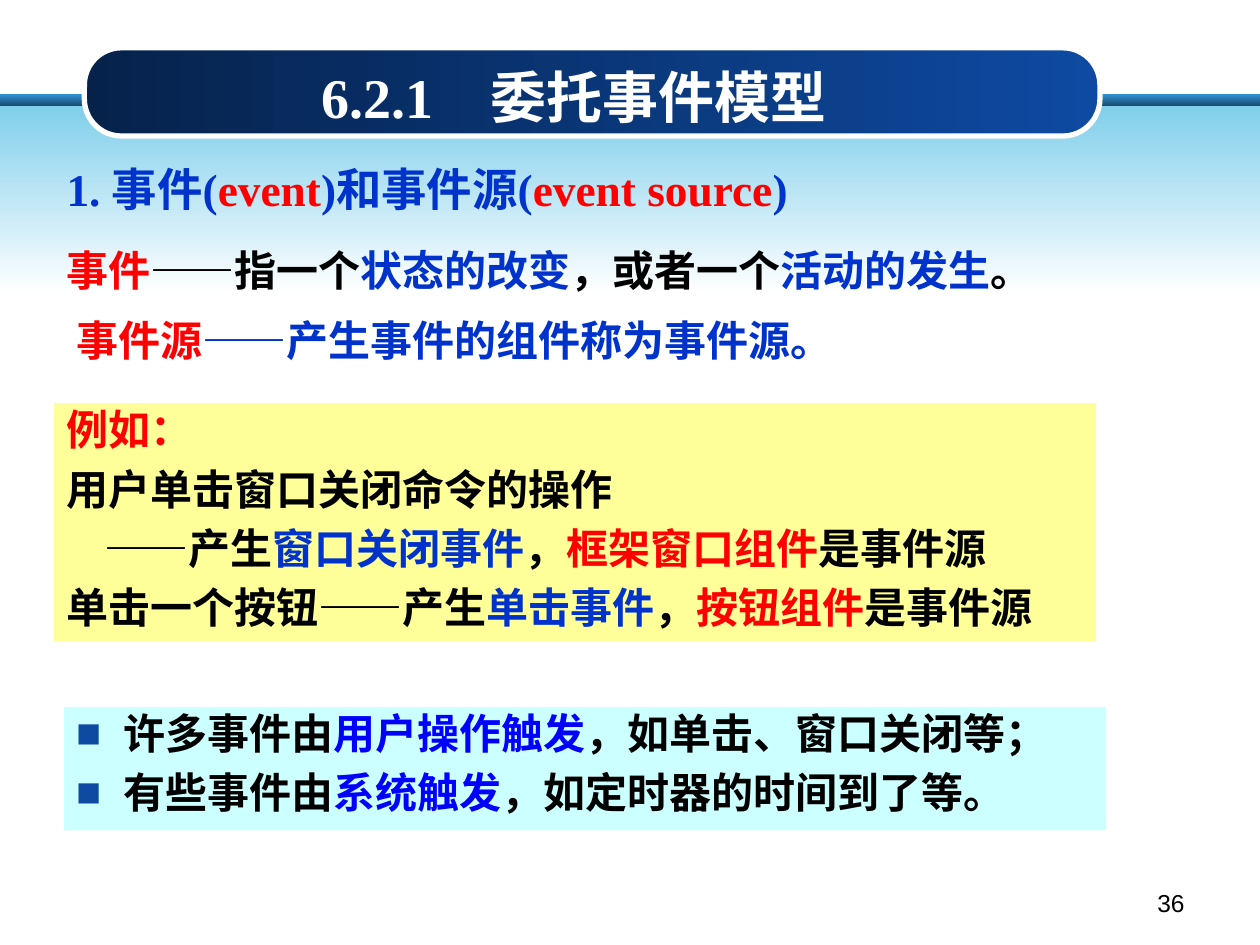
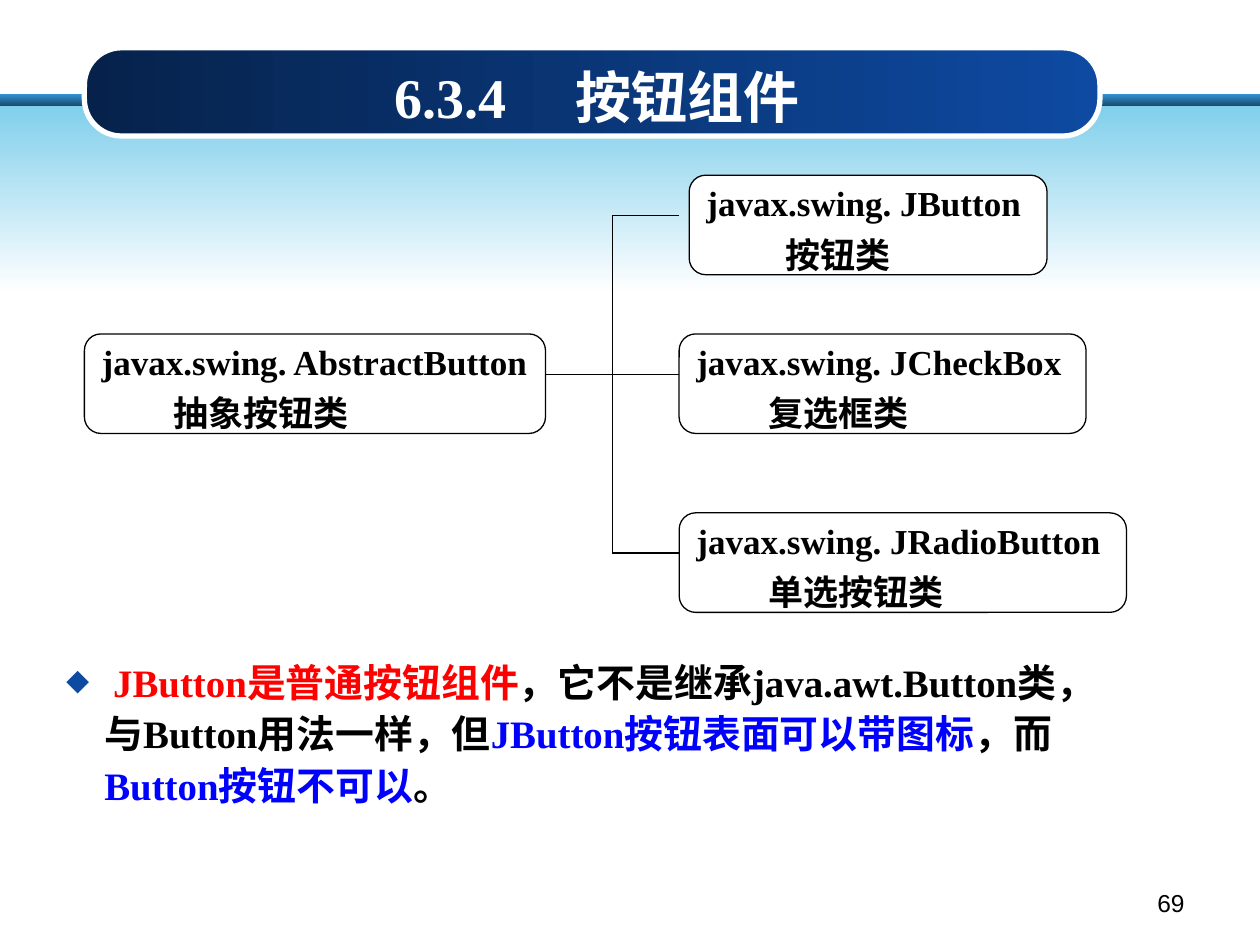
import pptx
import pptx.dml.color
import pptx.enum.shapes
import pptx.enum.text
import pptx.util
from lxml import etree
from pptx.oxml.ns import qn

WIDTH, HEIGHT = 10, 7.5
HANGING = 0.37
LATIN, ASIAN, NUMBER_FONT = "Times New Roman", "Noto Sans CJK SC", "Arial"
COLOURS = {
    "black": "000000", "white": "FFFFFF", "red": "FF0000",
    "blue": "0033CC", "bright": "0000FF", "bullet": "0E4AA2",
    "yellow": "FFFF99", "cyan": "CCFFFF",
    "rule top": "3191D3", "rule end": "174362",
    "sky": "81CFEB", "navy": "06224B", "royal": "0E4AA2",
}

# Bands: top, height, first colour, last colour
BANDS = [(0.75, 0.1, "rule top", "rule end"), (0.84, 1.49, "sky", "white")]

# Paragraph: (spans, left indent, bullet); span: (text, colour)
EVENT_BLOCKS = [
    {"at": (0.43, 1.31, 6.61, 0.47), "size": 25.9, "spacing": 0.8, "paras": [
        ([("1. 事件(", "blue"), ("event", "red"), (")和事件源(", "blue"),
          ("event source", "red"), (")", "blue")], 0, None)]},
    {"at": (0.43, 1.94, 8.19, 0.47), "paras": [
        ([("事件", "red"), ("——指一个", "black"), ("状态的改变", "blue"),
          ("，或者一个", "black"), ("活动的发生", "blue"), ("。", "black")], 0, None)]},
    {"at": (0.51, 2.49, 6.54, 0.47), "paras": [
        ([("事件源", "red"), ("——产生事件的组件称为事件源。", "blue")], 0, None)]},
    {"at": (0.43, 3.2, 8.27, 1.89), "fill": "yellow", "paras": [
        ([("例如：", "red")], 0, None),
        ([("用户单击窗口关闭命令的操作", "black")], 0, None),
        ([("——产生", "black"), ("窗口关闭事件", "blue"), ("，", "black"),
          ("框架窗口组件", "red"), ("是事件源", "black")], 0.3, None),
        ([("单击一个按钮——产生", "black"), ("单击事件", "blue"), ("，", "black"),
          ("按钮组件", "red"), ("是事件源", "black")], 0, None)]},
    {"at": (0.51, 5.61, 8.27, 0.98), "fill": "cyan", "paras": [
        ([("许多事件由", "black"), ("用户操作触发", "bright"),
          ("，如单击、窗口关闭等；", "black")], HANGING, "■"),
        ([("有些事件由", "black"), ("系统触发", "bright"),
          ("，如定时器的时间到了等。", "black")], HANGING, "■")]},
]
BUTTON_BLOCKS = [
    {"at": (0.43, 5.25, 9.21, 1.42), "size": 22.2, "spacing": 0.8, "paras": [
        ([("JButton是普通按钮组件", "red"),
          ("，它不是继承java.awt.Button类，", "black")], HANGING, "◆"),
        ([("与Button用法一样，但", "black"), ("JButton按钮表面可以带图标", "bright"),
          ("，而", "black")], 0.3, None),
        ([("Button按钮不可以", "bright"), ("。", "black")], 0.3, None)]},
]

# Class boxes: left, top, width, class name, label, label indent
CLASS_HEIGHT, PORT = 0.79, 0.32
ROOT_CLASS = (0.67, 2.65, 3.66, "javax.swing. AbstractButton", "抽象按钮类", 0.57)
SUBCLASSES = [
    (5.47, 1.39, 2.84, "javax.swing. JButton", "按钮类", 0.63),
    (5.39, 2.65, 3.23, "javax.swing. JCheckBox", "复选框类", 0.57),
    (5.39, 4.07, 3.55, "javax.swing. JRadioButton", "单选按钮类", 0.57),
]

# Title: number, words, left, tab stop
PAGES = [
    {"title": ("6.2.1", "委托事件模型", 2.45, 1.34), "number": "36",
     "blocks": EVENT_BLOCKS, "tree": False},
    {"title": ("6.3.4", "按钮组件", 3.03, 1.44), "number": "69",
     "blocks": BUTTON_BLOCKS, "tree": True},
]

SHAPES = pptx.enum.shapes.MSO_SHAPE
ALIGN = pptx.enum.text.PP_ALIGN


def rgb(name):
    return pptx.dml.color.RGBColor.from_string(COLOURS[name])


def inches(*lengths):
    return [pptx.util.Inches(length) for length in lengths]


def add_span(para, text, colour, size, bold=True, latin=LATIN):
    span = para.add_run()
    span.text = text
    span.font.size = pptx.util.Pt(size)
    span.font.bold = bold
    span.font.name = latin
    span.font.color.rgb = rgb(colour)
    etree.SubElement(span.font._element, qn("a:ea"), typeface=ASIAN)


def add_bullet(para, mark):
    props = para._p.get_or_add_pPr()
    colour = etree.SubElement(props, qn("a:buClr"))
    etree.SubElement(colour, qn("a:srgbClr"), val=COLOURS["bullet"])
    etree.SubElement(props, qn("a:buSzPct"), val="60000")
    etree.SubElement(props, qn("a:buFont"), typeface=ASIAN)
    etree.SubElement(props, qn("a:buChar"), char=mark)


def write(frame, paras, size=24, spacing=0.9):
    frame.word_wrap = True
    frame.vertical_anchor = pptx.enum.text.MSO_ANCHOR.TOP
    for index, (spans, indent, mark) in enumerate(paras):
        para = frame.add_paragraph() if index else frame.paragraphs[0]
        props = para._p.get_or_add_pPr()
        props.set("marL", str(pptx.util.Inches(indent)))
        props.set("indent", str(-pptx.util.Inches(HANGING) if mark else 0))
        if mark:
            add_bullet(para, mark)
        para.alignment = ALIGN.LEFT
        para.line_spacing = spacing
        if index:
            para.space_before = pptx.util.Pt(8)
        for text, colour in spans:
            add_span(para, text, colour, size)


def add_plain_shape(page, kind, at, fill=None, line=None, weight=0.75):
    shape = page.shapes.add_shape(kind, *inches(*at))
    shape.shadow.inherit = False
    if fill:
        shape.fill.solid()
        shape.fill.fore_color.rgb = rgb(fill)
    if line:
        shape.line.color.rgb = rgb(line)
        shape.line.width = pptx.util.Pt(weight)
    else:
        shape.line.fill.background()
    return shape


def fade(shape, first, last, angle):
    shape.fill.gradient()
    shape.fill.gradient_angle = angle
    for stop, colour in zip(shape.fill.gradient_stops, (first, last)):
        stop.color.rgb = rgb(colour)


def add_line(page, *ends):
    line = page.shapes.add_connector(
        pptx.enum.shapes.MSO_CONNECTOR.STRAIGHT, *inches(*ends))
    line.line.color.rgb = rgb("black")
    line.line.width = pptx.util.Pt(0.75)
    etree.SubElement(line._element.spPr, qn("a:effectLst"))


def add_frame(page, title, number):
    """Draw the bands, title and page number that every slide has."""
    for top, height, first, last in BANDS:
        band = add_plain_shape(page, SHAPES.RECTANGLE, (0, top, WIDTH, height))
        fade(band, first, last, 270)
    plate = add_plain_shape(page, SHAPES.ROUNDED_RECTANGLE,
                            (0.67, 0.38, 8.06, 0.7), line="white", weight=3)
    plate.adjustments[0] = 0.42
    fade(plate, "navy", "royal", 0)

    section, words, left, stop = title
    holder = page.shapes.title
    page.shapes.element.append(holder.element)
    holder.left, holder.top, holder.width, holder.height = inches(left, 0.36, 4.5, 0.72)
    frame = holder.text_frame
    frame.auto_size = pptx.enum.text.MSO_AUTO_SIZE.NONE
    frame.vertical_anchor = pptx.enum.text.MSO_ANCHOR.BOTTOM
    para = frame.paragraphs[0]
    tabs = etree.SubElement(para._p.get_or_add_pPr(), qn("a:tabLst"))
    etree.SubElement(tabs, qn("a:tab"), pos=str(pptx.util.Inches(stop)), algn="l")
    para.alignment = ALIGN.LEFT
    add_span(para, section + "\t", "white", 32)
    add_span(para, words, "white", 32)

    box = page.shapes.add_textbox(*inches(7.17, 7, 2.33, 0.35))
    box.text_frame.word_wrap = True
    para = box.text_frame.paragraphs[0]
    para.alignment = ALIGN.RIGHT
    add_span(para, number, "black", 14, bold=False, latin=NUMBER_FONT)


def add_block(page, at, paras, fill=None, **style):
    if fill:
        box = add_plain_shape(page, SHAPES.RECTANGLE, at, fill)
    else:
        box = page.shapes.add_textbox(*inches(*at))
    write(box.text_frame, paras, **style)


def add_class(page, left, top, width, name, label, indent):
    box = add_plain_shape(page, SHAPES.FLOWCHART_ALTERNATE_PROCESS,
                          (left, top, width, CLASS_HEIGHT), "white", "black")
    write(box.text_frame, [([(name, "black")], 0, None),
                           ([(label, "black")], indent, None)], size=20)


def add_class_tree(page):
    for entry in [ROOT_CLASS, *SUBCLASSES]:
        add_class(page, *entry)
    root_right = ROOT_CLASS[0] + ROOT_CLASS[2]
    branch_end = min(entry[0] for entry in SUBCLASSES)
    trunk = (root_right + branch_end) / 2
    ports = [entry[1] + PORT for entry in SUBCLASSES]
    root_port = ROOT_CLASS[1] + PORT
    add_line(page, root_right, root_port, trunk, root_port)
    add_line(page, trunk, ports[0], trunk, ports[-1])
    for port in ports:
        add_line(page, trunk, port, branch_end, port)


def main():
    deck = pptx.Presentation()
    deck.slide_width, deck.slide_height = inches(WIDTH, HEIGHT)
    for content in PAGES:
        page = deck.slides.add_slide(deck.slide_layouts.get_by_name("Title Only"))
        add_frame(page, content["title"], content["number"])
        if content["tree"]:
            add_class_tree(page)
        for block in content["blocks"]:
            add_block(page, **block)
    deck.save("out.pptx")


if __name__ == "__main__":
    main()
